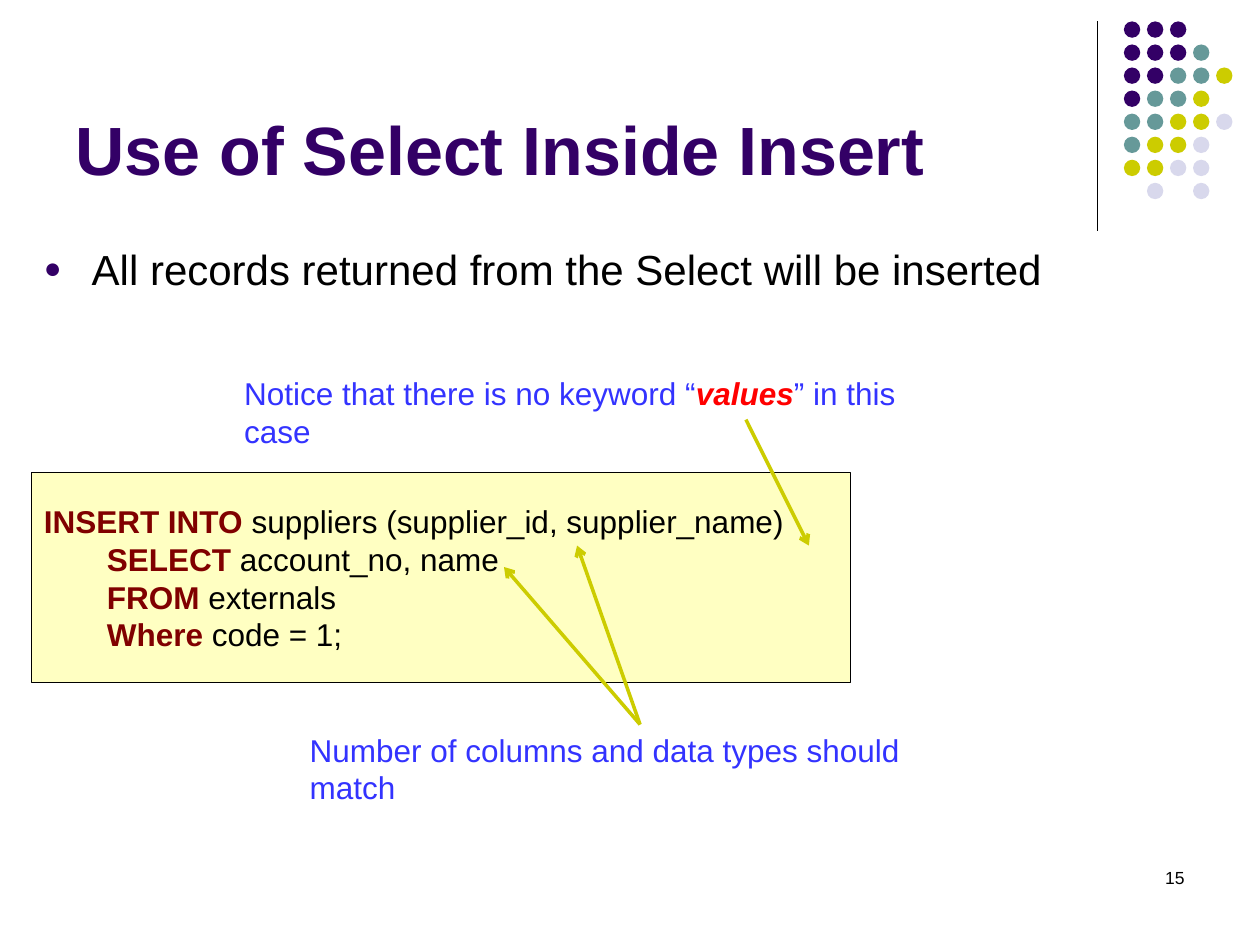
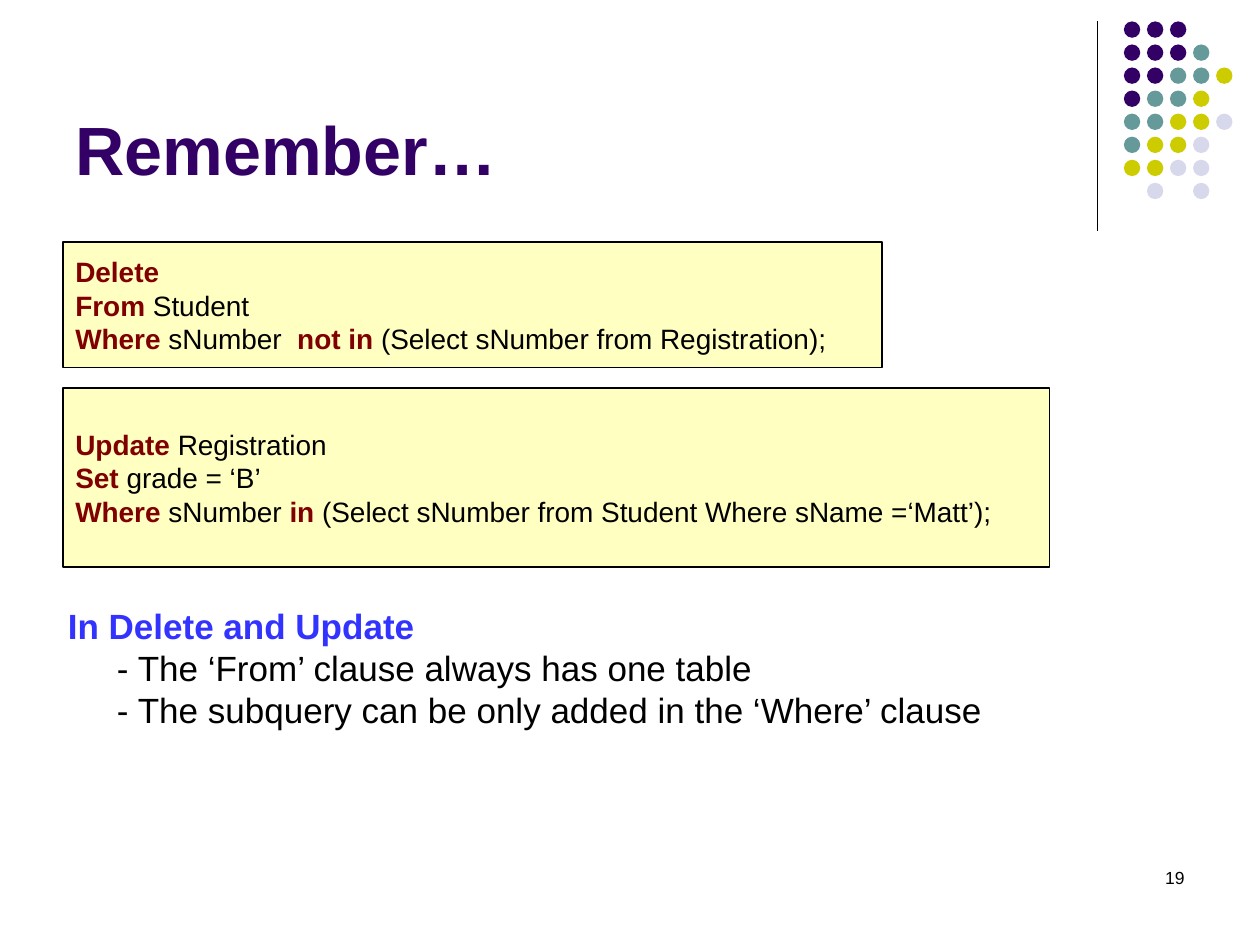
"""Build two SQL lecture slides: insert with select, and delete and update with subqueries."""
from lxml import etree
from pptx import Presentation
from pptx import util as u
from pptx.dml import color
from pptx.enum import shapes, text
from pptx.oxml import ns

FONT = "Arial"
PURPLE, TEAL, OLIVE, LILAC = "330066", "669999", "CCCC00", "D8D8EC"
BLACK, WHITE, CREAM, MAROON, BLUE, RED = "000000", "FFFFFF", "FFFFC2", "800000", "3333FF", "FF0000"

DOT_COLOURS = {"P": PURPLE, "T": TEAL, "O": OLIVE, "L": LILAC}
DOT_ROWS = ["PPP", "PPPT", "PPTTO", "PTTO", "TTOOL", "TOOL", "OOLL", " L L"]
DOT_PITCH = 0.183


def rgb(hex_code):
    """Turn a hex string into a colour."""
    return color.RGBColor.from_string(hex_code)


def inches(*lengths):
    """Convert several numbers to lengths."""
    return [u.Inches(length) for length in lengths]


def plain(words, colour=BLACK, bold=False, italic=False):
    """Describe one run of text."""
    return words, colour, bold, italic


def keyword(words):
    """Describe a run holding an SQL keyword."""
    return plain(words, MAROON, bold=True)


def write(shape, lines, size, indents=(), anchor=text.MSO_ANCHOR.TOP,
          align=text.PP_ALIGN.LEFT, wrap=True):
    """Fill a shape with lines of runs, each line with an optional left indent."""
    frame = shape.text_frame
    frame.word_wrap = wrap
    frame.vertical_anchor = anchor
    for index, runs in enumerate(lines):
        paragraph = frame.paragraphs[0] if index == 0 else frame.add_paragraph()
        paragraph.alignment = align
        if index < len(indents):
            paragraph._p.get_or_add_pPr().set("marL", str(u.Inches(indents[index])))
        for words, colour, bold, italic in runs:
            run = paragraph.add_run()
            run.text = words
            run.font.name = FONT
            run.font.size = u.Pt(size)
            run.font.bold = bold
            run.font.italic = italic
            run.font.color.rgb = rgb(colour)


def add_label(slide, box, lines, size, **layout):
    """Add a text box."""
    label = slide.shapes.add_textbox(*inches(*box))
    write(label, lines, size, **layout)
    return label


def add_preset(slide, kind, box, fill, outline=None):
    """Add a flat filled shape."""
    shape = slide.shapes.add_shape(kind, *inches(*box))
    shape.shadow.inherit = False
    shape.fill.solid()
    shape.fill.fore_color.rgb = rgb(fill)
    if outline:
        shape.line.color.rgb = rgb(outline)
        shape.line.width = u.Pt(0.75)
    else:
        shape.line.fill.background()
    return shape


def add_code(slide, box, lines, size, indents=()):
    """Add a cream box with an SQL statement."""
    panel = add_preset(slide, shapes.MSO_SHAPE.RECTANGLE, box, CREAM, BLACK)
    write(panel, lines, size, indents, anchor=text.MSO_ANCHOR.MIDDLE)


def add_line(slide, start, end, colour, width, arrow=False):
    """Add a straight line, with an arrowhead at its end if asked."""
    line = slide.shapes.add_connector(shapes.MSO_CONNECTOR.STRAIGHT, *inches(*start, *end))
    line.line.color.rgb = rgb(colour)
    line.line.width = u.Pt(width)
    if arrow:
        etree.SubElement(line.line._get_or_add_ln(), ns.qn("a:tailEnd"), type="arrow")
    etree.SubElement(line._element.spPr, ns.qn("a:effectLst"))


def add_bullet(slide, box, words, size):
    """Add a text box with one bulleted line."""
    label = slide.shapes.add_textbox(*inches(*box))
    properties = label.text_frame.paragraphs[0]._p.get_or_add_pPr()
    properties.set("indent", str(-u.Inches(0.38)))
    bullet_colour = etree.SubElement(properties, ns.qn("a:buClr"))
    etree.SubElement(bullet_colour, ns.qn("a:srgbClr"), val=PURPLE)
    etree.SubElement(properties, ns.qn("a:buSzPct"), val="70000")
    etree.SubElement(properties, ns.qn("a:buFont"), typeface=FONT)
    etree.SubElement(properties, ns.qn("a:buChar"), char="●")
    write(label, [[plain(words)]], size, indents=[0.38])


def add_dots(slide):
    """Draw the grid of coloured dots in the top right corner."""
    for row, codes in enumerate(DOT_ROWS):
        for column, code in enumerate(codes):
            if code in DOT_COLOURS:
                box = (8.92 + column * DOT_PITCH, 0.17 + row * DOT_PITCH, 0.13, 0.13)
                add_preset(slide, shapes.MSO_SHAPE.OVAL, box, DOT_COLOURS[code])


def add_page(deck, title, number):
    """Add a slide with the shared corner, title and page number."""
    slide = deck.slides.add_slide(deck.slide_layouts[6])
    add_line(slide, (8.71, 0.17), (8.71, 1.83), BLACK, 0.75)
    add_dots(slide)
    add_label(slide, (0.5, 0.13, 8.25, 1.42), [[plain(title, PURPLE, bold=True)]], 39,
              anchor=text.MSO_ANCHOR.BOTTOM)
    add_label(slide, (7.17, 6.83, 2.33, 0.5), [[plain(number)]], 10,
              align=text.PP_ALIGN.RIGHT)
    return slide


def build_insert(deck):
    """Build the slide on select inside insert."""
    slide = add_page(deck, "Use of Select Inside Insert", "15")
    add_bullet(slide, (0.25, 1.88, 9, 0.78),
               "All records returned from the Select will be inserted", 24)
    add_code(slide, (0.25, 3.75, 6.5, 1.67), [
        [keyword("INSERT INTO "), plain("suppliers (supplier_id, supplier_name)")],
        [keyword("SELECT "), plain("account_no, name")],
        [keyword("FROM "), plain("externals")],
        [keyword("Where "), plain("code = 1;")],
    ], 18, indents=(0, 0.5, 0.5, 0.5))
    add_label(slide, (1.84, 2.92, 5.96, 0.4), [[
        plain("Notice that there is no keyword “", BLUE),
        plain("values", RED, bold=True, italic=True),
        plain("” in this case", BLUE),
    ]], 18, wrap=False)
    add_label(slide, (2.36, 5.75, 5.63, 0.4),
              [[plain("Number of columns and data types should match", BLUE)]], 18, wrap=False)
    match_note = (5.08, 5.75)
    for start, end in [((5.92, 3.33), (6.42, 4.33)),
                       (match_note, (4, 4.5)),
                       (match_note, (4.58, 4.33))]:
        add_line(slide, start, end, OLIVE, 2, arrow=True)


def build_remember(deck):
    """Build the slide on subqueries in delete and update."""
    slide = add_page(deck, "Remember…", "19")
    add_code(slide, (0.5, 1.92, 6.5, 1), [
        [keyword("Delete")],
        [keyword("From "), plain("Student")],
        [keyword("Where "), plain("sNumber "), keyword(" not in "),
         plain("(Select sNumber from Registration);")],
    ], 16)
    add_code(slide, (0.5, 3.08, 7.83, 1.42), [
        [keyword("Update "), plain("Registration")],
        [keyword("Set "), plain("grade = ‘B’")],
        [keyword("Where "), plain("sNumber "), keyword("in "),
         plain("(Select sNumber from Student Where sName =‘Matt’);")],
    ], 16)
    rules = add_preset(slide, shapes.MSO_SHAPE.RECTANGLE, (0.44, 4.75, 7.47, 1.1), WHITE)
    write(rules, [
        [plain("In Delete and Update", BLUE, bold=True)],
        [plain("- The ‘From’ clause always has one table")],
        [plain("- The subquery can be only added in the ‘Where’ clause")],
    ], 20, indents=(0, 0.39, 0.39), wrap=False)


def main():
    """Build and save the deck."""
    deck = Presentation()
    deck.slide_width, deck.slide_height = inches(10, 7.5)
    build_insert(deck)
    build_remember(deck)
    deck.save("out.pptx")


if __name__ == "__main__":
    main()
